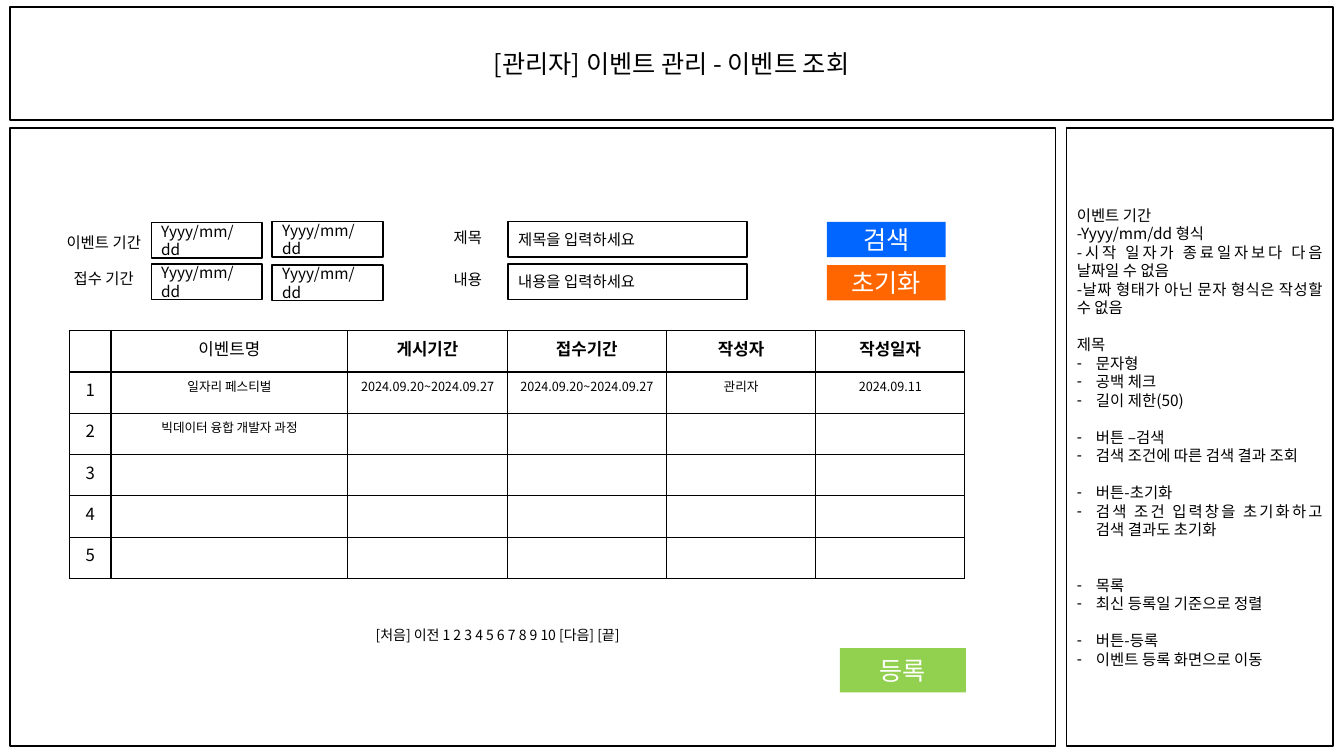
from lxml.etree import SubElement
from pptx import Presentation
from pptx.dml.color import RGBColor
from pptx.enum.shapes import MSO_SHAPE
from pptx.enum.text import MSO_ANCHOR, MSO_AUTO_SIZE, PP_ALIGN
from pptx.oxml.ns import qn
from pptx.util import Inches, Pt

FONT = "Noto Sans CJK KR"
COLORS = {"ink": "000000", "paper": "FFFFFF", "search": "0066FF",
          "reset": "FF6600", "add": "92D050"}
LEFT, CENTER, JUST = PP_ALIGN.LEFT, PP_ALIGN.CENTER, PP_ALIGN.JUSTIFY

TITLE = "[관리자] 이벤트 관리 - 이벤트 조회"
PAGER = "[처음] 이전 1 2 3 4 5 6 7 8 9 10 [다음] [끝]"

# Groups of notes: blank lines before the group, bulleted or not, lines
NOTES = [
    (0, False, ["이벤트 기간", "-Yyyy/mm/dd 형식",
                "-시작 일자가 종료일자보다 다음 날짜일 수 없음",
                "-날짜 형태가 아닌 문자 형식은 작성할 수 없음"]),
    (1, False, ["제목"]),
    (0, True, ["문자형", "공백 체크", "길이 제한(50)"]),
    (1, True, ["버튼 –검색", "검색 조건에 따른 검색 결과 조회"]),
    (1, True, ["버튼-초기화", "검색 조건 입력창을 초기화하고 검색 결과도 초기화"]),
    (2, True, ["목록", "최신 등록일 기준으로 정렬"]),
    (1, True, ["버튼-등록", "이벤트 등록 화면으로 이동"]),
]

HEAD = ["", "이벤트명", "게시기간", "접수기간", "작성자", "작성일자"]
SPAN = "2024.09.20~2024.09.27"
EVENTS = [["일자리 페스티벌", SPAN, SPAN, "관리자", "2024.09.11"],
          ["빅데이터 융합 개발자 과정"], [], [], []]
WIDTHS = [0.41, 2.35, 1.58, 1.58, 1.48, 1.48]
ROW = 0.41

# Columns of the search form: left, width, first top, row step, two texts
TALL = 0.35
LABELS = [(0.5, 1.06, 2.23, 0.36, ["이벤트 기간", "접수 기간"]),
          (4.38, 0.52, 2.18, 0.42, ["제목", "내용"])]
FIELDS = [(1.5, 1.1, 2.21, 0.41, ["Yyyy/mm/dd"] * 2),
          (2.7, 1.1, 2.2, 0.43, ["Yyyy/mm/dd"] * 2),
          (5.04, 2.37, 2.2, 0.42, ["제목을 입력하세요", "내용을 입력하세요"])]
BUTTONS = [("검색", "search", (8.2, 2.2, 1.18, TALL)),
           ("초기화", "reset", (8.2, 2.63, 1.18, TALL)),
           ("등록", "add", (8.33, 6.43, 1.25, 0.44))]


def rgb(name):
    return RGBColor.from_string(COLORS[name])


def write(para, text, size=11, color="ink", align=LEFT, bold=False):
    para.alignment = align
    run = para.add_run()
    run.text = text
    font = run.font
    font.size, font.bold, font.name = Pt(size), bold, FONT
    font.color.rgb = rgb(color)
    SubElement(font._element, qn("a:ea"), typeface=FONT)


def place(shape, box):
    shape.left, shape.top, shape.width, shape.height = map(Inches, box)


def frame(shape):
    """Set wrapping, no autofit and middle anchor; return the text frame."""
    area = shape.text_frame
    area.word_wrap = True
    area.auto_size = MSO_AUTO_SIZE.NONE
    area.vertical_anchor = MSO_ANCHOR.MIDDLE
    return area


def outline(shape):
    shape.line.color.rgb = rgb("ink")
    shape.line.width = Pt(1)


def rect(slide, box, text="", fill=None, **form):
    shape = slide.shapes.add_shape(MSO_SHAPE.RECTANGLE, *map(Inches, box))
    shape.shadow.inherit = False
    if fill:
        shape.fill.solid()
        shape.fill.fore_color.rgb = rgb(fill)
        shape.line.fill.background()
    else:
        shape.fill.background()
        outline(shape)
    if text:
        write(frame(shape).paragraphs[0], text, **form)


def label(slide, box, text, **form):
    shape = slide.shapes.add_textbox(*map(Inches, box))
    write(frame(shape).paragraphs[0], text, **form)


def border(cell):
    """Draw black lines on all four sides; they go before the cell's fill."""
    props = cell._tc.get_or_add_tcPr()
    for spot, side in enumerate(("lnL", "lnR", "lnT", "lnB")):
        line = SubElement(props, qn("a:" + side), w=str(Pt(1)))
        paint = SubElement(line, qn("a:solidFill"))
        SubElement(paint, qn("a:srgbClr"), val=COLORS["ink"])
        props.insert(spot, line)


def add_notes(shape):
    area = frame(shape)
    first = True
    for gap, listed, lines in NOTES:
        for index, text in enumerate(lines):
            para = area.paragraphs[0] if first else area.add_paragraph()
            first = False
            para.space_before = Pt(0 if index else 13.2 * gap)
            para.space_after = Pt(0)
            write(para, text, align=JUST)
            props = para._p.get_or_add_pPr()
            indent = Inches(0.19) if listed else 0
            props.set("marL", str(indent))
            props.set("indent", str(-indent))
            if listed:
                SubElement(props, qn("a:buFontTx"))
                SubElement(props, qn("a:buChar"), char="-")
            else:
                SubElement(props, qn("a:buNone"))


def add_events(slide):
    rows = [HEAD] + [[str(n)] + row for n, row in enumerate(EVENTS, 1)]
    box = (0.69, 3.28, sum(WIDTHS), ROW * len(rows))
    table = slide.shapes.add_table(len(rows), len(WIDTHS),
                                   *map(Inches, box)).table
    for col, width in zip(table.columns, WIDTHS):
        col.width = Inches(width)
    for r, row in enumerate(rows):
        table.rows[r].height = Inches(ROW)
        for c in range(len(WIDTHS)):
            cell = table.cell(r, c)
            cell.fill.solid()
            cell.fill.fore_color.rgb = rgb("paper")
            border(cell)
            write(cell.text_frame.paragraphs[0],
                  row[c] if c < len(row) else "",
                  size=9 if r and c else 12, align=CENTER,
                  bold=r == 0 and c > 1)


def main():
    deck = Presentation()
    deck.slide_width, deck.slide_height = Inches(13.33), Inches(7.5)
    slide = deck.slides.add_slide(deck.slide_layouts[1])
    title, notes = slide.placeholders

    place(title, (0.1, 0.07, 13.12, 1.12))
    outline(title)
    write(frame(title).paragraphs[0], TITLE, size=18, align=CENTER)
    place(notes, (10.58, 1.27, 2.64, 6.13))
    outline(notes)
    add_notes(notes)

    rect(slide, (0.1, 1.27, 10.37, 6.13))
    add_events(slide)
    label(slide, (3.41, 6.13, 3.05, 0.34), PAGER, size=10, align=CENTER)
    for left, width, top, step, texts in LABELS:
        for n, text in enumerate(texts):
            label(slide, (left, top + n * step, width, TALL), text,
                  align=CENTER)
    for left, width, top, step, texts in FIELDS:
        for n, text in enumerate(texts):
            rect(slide, (left, top + n * step, width, TALL), text, align=JUST)
    for text, fill, box in BUTTONS:
        rect(slide, box, text, fill, size=18, color="paper", align=CENTER)
    deck.save("out.pptx")


if __name__ == "__main__":
    main()
